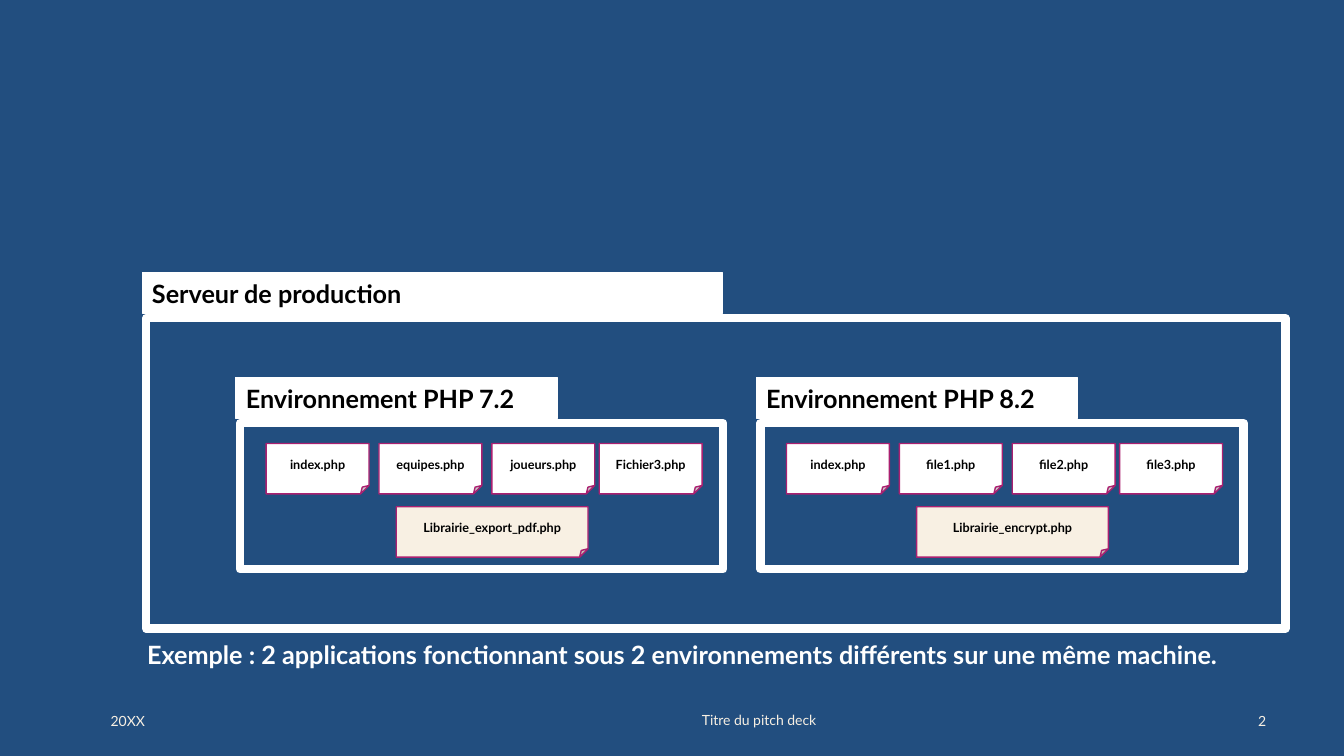
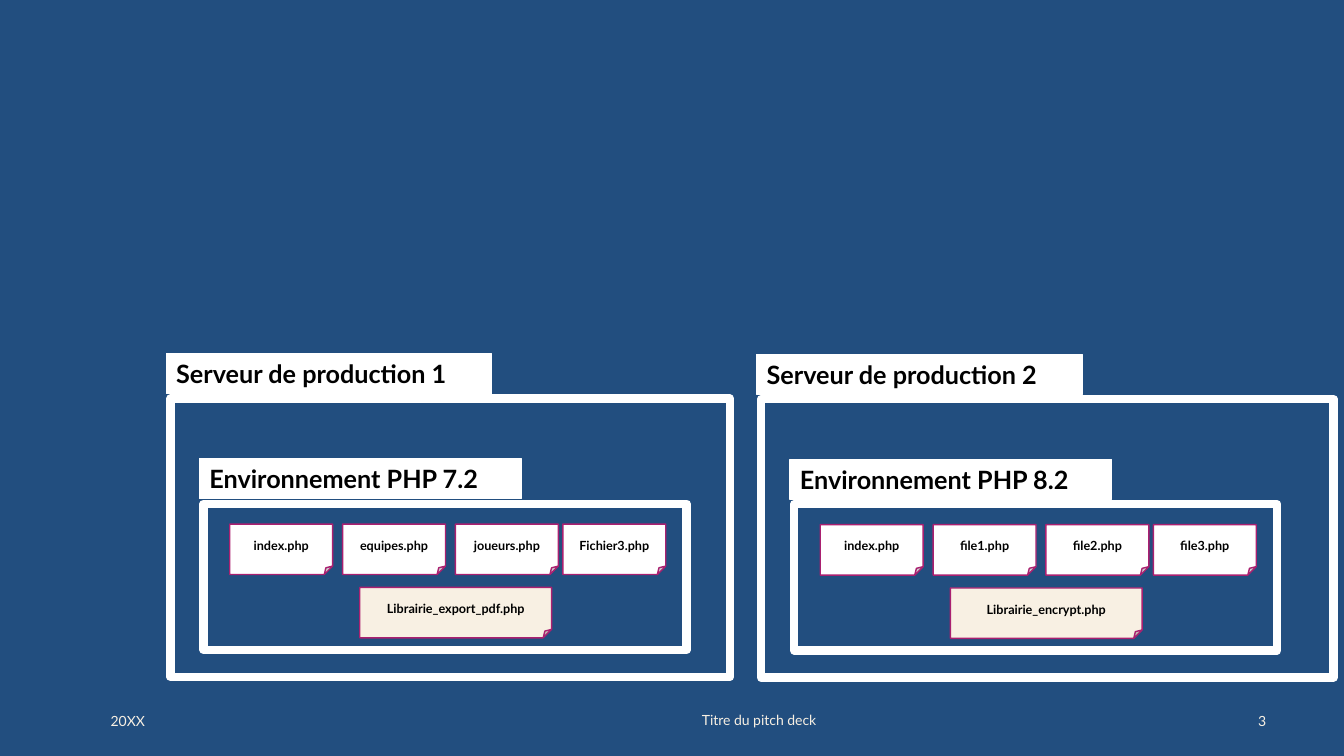
import dataclasses
import pptx
import pptx.util
import pptx.dml.color
import pptx.enum.shapes
import pptx.enum.text

Pt = pptx.util.Pt
Kind = pptx.enum.shapes.MSO_SHAPE
Align = pptx.enum.text.PP_ALIGN
Anchor = pptx.enum.text.MSO_ANCHOR


@dataclasses.dataclass(frozen=True)
class Theme:
    font: str = "Lato"
    back: str = "224E7F"
    white: str = "FFFFFF"
    black: str = "000000"
    cream: str = "F8F0E3"
    pink: str = "AA2070"
    head: float = 18
    small: float = 10
    tiny: float = 9


look = Theme()

# Content
old = {
    "name": "Environnement PHP 7.2",
    "files": ["index.php", "equipes.php", "joueurs.php", "Fichier3.php"],
    "lib": "Librairie_export_pdf.php",
}
new = {
    "name": "Environnement PHP 8.2",
    "files": ["index.php", "file1.php", "file2.php", "file3.php"],
    "lib": "Librairie_encrypt.php",
}
# Servers: tab corner, tab width, frame size, and (left offset, environment)
slides = [
    {
        "number": 2,
        "servers": [
            {"name": "Serveur de production", "at": (101.5, 195), "tab": 414.7,
             "size": (813.6, 221.8), "envs": [(67, old), (438.7, new)]},
        ],
        "note": "Exemple : 2 applications fonctionnant sous 2 environnements "
                "différents sur une même machine.",
    },
    {
        "number": 3,
        "servers": [
            {"name": "Serveur de production 1", "at": (118.8, 252.6),
             "tab": 232.6, "size": (399.6, 198.7), "envs": [(23.7, old)]},
            {"name": "Serveur de production 2", "at": (540.6, 253),
             "tab": 232.6, "size": (409, 198.7), "envs": [(23.7, new)]},
        ],
    },
]
date = "20XX"
deck = "Titre du pitch deck"

# Sizes shared by all frames
tab_h = 28.8
drop = 32.2             # tab top to frame top
inset = 3               # tab left to frame left
env_top = 75            # server tab top to environment tab top
env_tab = 229.7
env_size = (345, 104.4)
card = (73.5, 36)
lib_size = (137, 36)
card_xs = (21.6, 102.2, 182.8, 259.5)
card_y, lib_x, lib_y = 46.8, 114.5, 92


def tint(text):
    return pptx.dml.color.RGBColor.from_string(text)


def write(shape, text, size=look.head, color=look.black, bold=True,
          align=Align.LEFT, anchor=Anchor.TOP):
    frame = shape.text_frame
    frame.word_wrap = True
    frame.vertical_anchor = anchor
    para = frame.paragraphs[0]
    para.alignment = align
    run = para.add_run()
    run.text = text
    run.font.name = look.font
    run.font.size = Pt(size)
    run.font.bold = bold
    run.font.color.rgb = tint(color)


def label(slide, text, x, y, w, h, **style):
    write(slide.shapes.add_textbox(Pt(x), Pt(y), Pt(w), Pt(h)), text, **style)


def block(slide, kind, x, y, w, h, line, width, fill=None):
    shape = slide.shapes.add_shape(kind, Pt(x), Pt(y), Pt(w), Pt(h))
    shape.shadow.inherit = False
    if fill:
        shape.fill.solid()
        shape.fill.fore_color.rgb = tint(fill)
    else:
        shape.fill.background()
    shape.line.color.rgb = tint(line)
    shape.line.width = Pt(width)
    return shape


def paper(slide, text, x, y, size, fill):
    shape = block(slide, Kind.FOLDED_CORNER, x, y, *size, look.pink, 1, fill)
    write(shape, text, size=look.tiny, align=Align.CENTER,
          anchor=Anchor.MIDDLE)


def folder(slide, name, x, y, tab, size):
    """Outlined frame with a filled name tab above it."""
    block(slide, Kind.FLOWCHART_PROCESS, x + inset, y + drop, *size,
          look.white, 6)
    write(block(slide, Kind.RECTANGLE, x, y, tab, tab_h, look.white, 0.75,
                look.white), name)


def runtime(slide, env, x, y):
    """Environment folder with its files and library."""
    folder(slide, env["name"], x, y, env_tab, env_size)
    for dx, name in zip(card_xs, env["files"]):
        paper(slide, name, x + dx, y + card_y, card, look.white)
    paper(slide, env["lib"], x + lib_x, y + lib_y, lib_size, look.cream)


def footer(slide, number):
    parts = [
        (date, 72, 500.4, 86.4, Align.LEFT),
        (deck, 452.2, 499.7, 180, Align.CENTER),
        (str(number), 875.5, 500.4, 36, Align.RIGHT),
    ]
    for text, x, y, w, align in parts:
        label(slide, text, x, y, w, tab_h, size=look.small, color=look.cream,
              bold=False, align=align, anchor=Anchor.MIDDLE)


def main():
    prs = pptx.Presentation()
    prs.slide_width, prs.slide_height = Pt(960), Pt(540)
    back = prs.slide_master.background.fill
    back.solid()
    back.fore_color.rgb = tint(look.back)

    for page in slides:
        slide = prs.slides.add_slide(prs.slide_layouts[6])
        footer(slide, page["number"])
        for server in page["servers"]:
            x, y = server["at"]
            folder(slide, server["name"], x, y, server["tab"], server["size"])
            for dx, env in server["envs"]:
                runtime(slide, env, x + dx, y + env_top)
        if "note" in page:
            label(slide, page["note"], 98, 453, 826, 51, color=look.white)

    prs.save("out.pptx")


if __name__ == "__main__":
    main()
